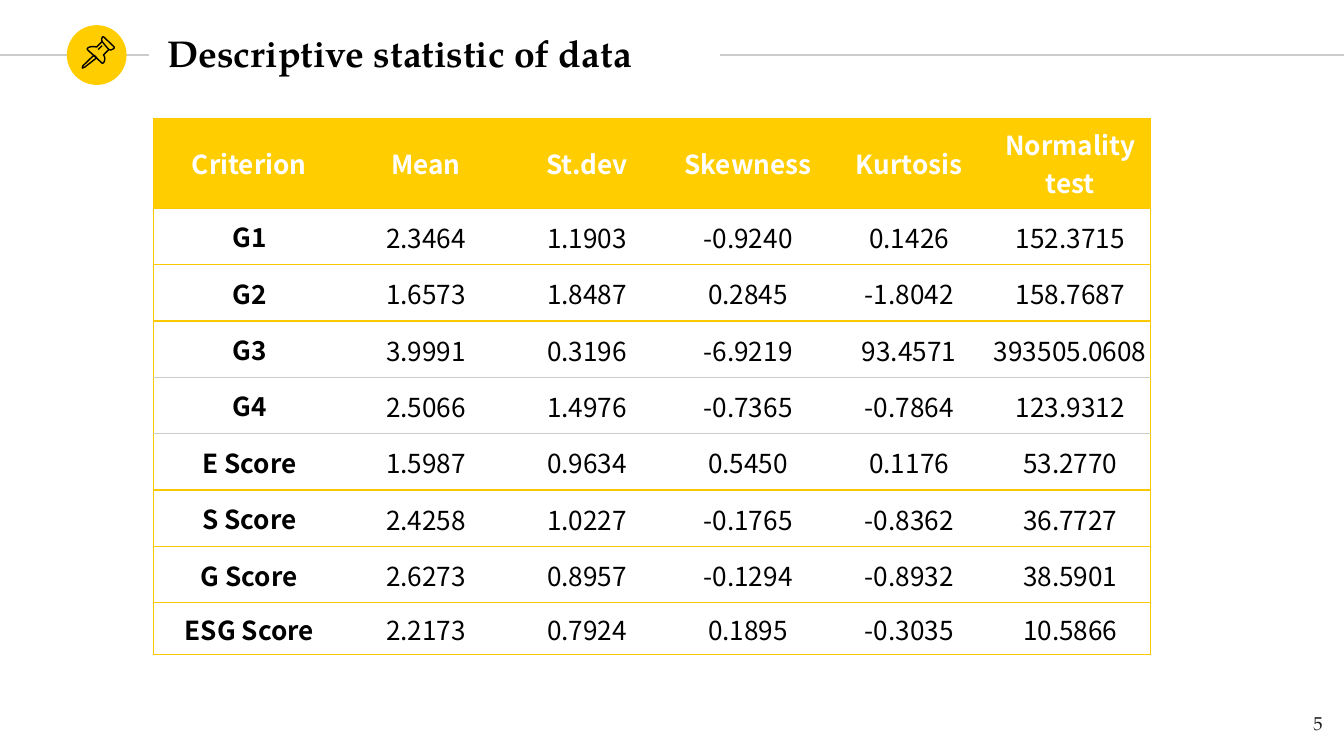
"""Build the slide with the table of descriptive statistics."""
from dataclasses import dataclass
from typing import Any

from lxml.etree import SubElement
from pptx import Presentation
from pptx.dml.color import RGBColor
from pptx.enum.shapes import MSO_CONNECTOR, MSO_SHAPE
from pptx.enum.text import MSO_ANCHOR, PP_ALIGN
from pptx.oxml import parse_xml
from pptx.oxml.ns import nsdecls, qn
from pptx.util import Pt

WHITE = RGBColor(0xFF, 0xFF, 0xFF)
BLACK = RGBColor(0x00, 0x00, 0x00)
INK = RGBColor(0x1D, 0x1D, 0x1B)
YELLOW = RGBColor(0xFF, 0xCD, 0x00)
GOLD = RGBColor(0xF9, 0xC8, 0x00)
GREY = RGBColor(0xCC, 0xCC, 0xCC)
SERIF = "TeX Gyre Pagella"
SANS = "Noto Sans CJK TC"
RULE_WIDTH = 0.75
RULE_TOP = 29.5
FIRST_COLUMN, VALUE_COLUMN = 103, 86.3
HEADER_HEIGHT, ROW_HEIGHT, LAST_HEIGHT = 48.2, 30.2, 27.8

TITLE_FONT = {"name": SERIF, "size": Pt(20), "bold": True}
NUMBER_FONT = {"name": SERIF, "size": Pt(10), "bold": False}
LABEL_FONT = {"name": SANS, "size": Pt(14), "bold": True}
VALUE_FONT = {**LABEL_FONT, "bold": False}
MARGIN_SIDES = ("margin_left", "margin_right", "margin_top", "margin_bottom")
FRAME_FORMAT = {"word_wrap": True, **dict.fromkeys(MARGIN_SIDES, Pt(7.2))}
VALUE_MARGINS = {**dict.fromkeys(MARGIN_SIDES, Pt(0.7)), "margin_bottom": Pt(0)}


@dataclass(frozen=True)
class Stroke:
    points: tuple[tuple[float, float], ...]
    closed: bool


@dataclass(frozen=True)
class Statistic:
    criterion: str
    values: tuple[str, ...]
    rule: RGBColor = GOLD


PIN = (
    Stroke(((50.4, 29.5), (44.4, 35.3), (44.1, 36.5), (45.4, 36), (51.8, 31)), True),
    Stroke(((54.7, 22.3), (58.3, 26.6), (59.4, 26.8), (60.5, 26.4), (61.2, 25.8),
            (61.2, 25.2), (55.8, 20), (55.2, 19.7), (54.7, 20.2), (54.5, 21.2)), True),
    Stroke(((54.7, 22.3), (51.8, 25.2), (50.4, 25), (49, 25), (47.5, 25.4), (46.8, 26),
            (46.8, 26.6), (54.7, 33.8), (55.3, 33.8), (55.9, 33), (56.2, 31.7),
            (56, 30.2), (55.4, 29.5), (58.3, 26.6)), False),
    Stroke(((52.6, 26.6), (54.7, 24.5)), False),
)
HEADINGS = ("Criterion", "Mean", "St.dev", "Skewness", "Kurtosis", "Normality test")
STATISTICS = (
    Statistic("G1", ("2.3464", "1.1903", "-0.9240", "0.1426", "152.3715")),
    Statistic("G2", ("1.6573", "1.8487", "0.2845", "-1.8042", "158.7687")),
    Statistic("G3", ("3.9991", "0.3196", "-6.9219", "93.4571", "393505.0608"), GREY),
    Statistic("G4", ("2.5066", "1.4976", "-0.7365", "-0.7864", "123.9312"), GREY),
    Statistic("E Score", ("1.5987", "0.9634", "0.5450", "0.1176", "53.2770")),
    Statistic("S Score", ("2.4258", "1.0227", "-0.1765", "-0.8362", "36.7727")),
    Statistic("G Score", ("2.6273", "0.8957", "-0.1294", "-0.8932", "38.5901")),
    Statistic("ESG Score", ("2.2173", "0.7924", "0.1895", "-0.3035", "10.5866")),
)


def apply_format(target: Any, values: dict[str, Any]) -> None:
    for name, value in values.items():
        setattr(target, name, value)


def write_text(frame: Any, text: str, font: dict[str, Any], color: RGBColor, align: PP_ALIGN) -> None:
    paragraph = frame.paragraphs[0]
    paragraph.alignment = align
    run = paragraph.add_run()
    run.text = text
    apply_format(run.font, font)
    run.font.color.rgb = color


def draw_rule(slide: Any, start: float, end: float) -> None:
    rule = slide.shapes.add_connector(
        MSO_CONNECTOR.STRAIGHT, Pt(start), Pt(RULE_TOP), Pt(end), Pt(RULE_TOP))
    rule.line.color.rgb = GREY
    rule.line.width = Pt(RULE_WIDTH)
    SubElement(rule._element.spPr, qn("a:effectLst"))


def draw_badge(slide: Any) -> None:
    badge = slide.shapes.add_shape(MSO_SHAPE.OVAL, Pt(35.8), Pt(13.5), Pt(32), Pt(32))
    badge.shadow.inherit = False
    badge.fill.solid()
    badge.fill.fore_color.rgb = YELLOW
    badge.line.fill.background()


def draw_pin(slide: Any) -> None:
    group = slide.shapes.add_group_shape()
    for stroke in PIN:
        first, *rest = [(Pt(left), Pt(top)) for left, top in stroke.points]
        builder = group.shapes.build_freeform(*first)
        builder.add_line_segments(rest, close=stroke.closed)
        shape = builder.convert_to_shape()
        shape.shadow.inherit = False
        shape.fill.background()
        shape.line.color.rgb = BLACK
        shape.line.width = Pt(RULE_WIDTH)


def set_borders(cell: Any, borders: dict[str, RGBColor | None]) -> None:
    properties = cell._tc.get_or_add_tcPr()
    for index, (side, color) in enumerate(borders.items()):
        paint = f'<a:solidFill><a:srgbClr val="{color}"/></a:solidFill>' if color else "<a:noFill/>"
        properties.insert(index, parse_xml(
            f'<a:ln{side} {nsdecls("a")} w="{Pt(RULE_WIDTH)}">{paint}</a:ln{side}>'))


def fill_cell(cell: Any, text: str, font: dict[str, Any], color: RGBColor, fill: RGBColor) -> None:
    cell.vertical_anchor = MSO_ANCHOR.MIDDLE
    cell.fill.solid()
    cell.fill.fore_color.rgb = fill
    write_text(cell.text_frame, text, font, color, PP_ALIGN.CENTER)


def draw_table(slide: Any) -> None:
    widths = [FIRST_COLUMN] + [VALUE_COLUMN] * (len(HEADINGS) - 1)
    heights = [HEADER_HEIGHT] + [ROW_HEIGHT] * (len(STATISTICS) - 1) + [LAST_HEIGHT]
    table = slide.shapes.add_table(len(heights), len(widths), Pt(82.1), Pt(63.4),
                                   Pt(sum(widths)), Pt(sum(heights))).table
    table.horz_banding = False
    for column, width in zip(table.columns, widths):
        column.width = Pt(width)
    for row, height in zip(table.rows, heights):
        row.height = Pt(height)
    rows = [HEADINGS] + [(item.criterion, *item.values) for item in STATISTICS]
    rules = [GOLD, GOLD] + [item.rule for item in STATISTICS]
    last_column = len(widths) - 1
    for row_index, texts in enumerate(rows):
        for column_index, text in enumerate(texts):
            cell = table.cell(row_index, column_index)
            if row_index == 0:
                fill_cell(cell, text, LABEL_FONT, WHITE, YELLOW)
            elif column_index == 0:
                fill_cell(cell, text, LABEL_FONT, BLACK, WHITE)
            else:
                fill_cell(cell, text, VALUE_FONT, BLACK, WHITE)
                apply_format(cell, VALUE_MARGINS)
            set_borders(cell, {
                "L": GOLD if column_index == 0 else None,
                "R": GOLD if column_index == last_column else None,
                "T": rules[row_index],
                "B": rules[row_index + 1],
            })


def main() -> None:
    presentation = Presentation()
    apply_format(presentation, {"slide_width": Pt(720), "slide_height": Pt(405)})
    slide = presentation.slides.add_slide(presentation.slide_layouts[5])
    draw_rule(slide, 0, 79.9)
    draw_badge(slide)
    draw_rule(slide, 385.9, 720)
    title = slide.shapes.title
    apply_format(title, {"left": Pt(82.5), "top": Pt(10.1), "width": Pt(480), "height": Pt(36)})
    apply_format(title.text_frame, {**FRAME_FORMAT, "vertical_anchor": MSO_ANCHOR.MIDDLE})
    write_text(title.text_frame, "Descriptive statistic of data", TITLE_FONT, BLACK, PP_ALIGN.LEFT)
    draw_pin(slide)
    number = slide.shapes.add_textbox(Pt(672.5), Pt(375.2), Pt(43.2), Pt(29.8))
    apply_format(number.text_frame, FRAME_FORMAT)
    write_text(number.text_frame, "5", NUMBER_FONT, INK, PP_ALIGN.RIGHT)
    draw_table(slide)
    presentation.save("out.pptx")


if __name__ == "__main__":
    main()
